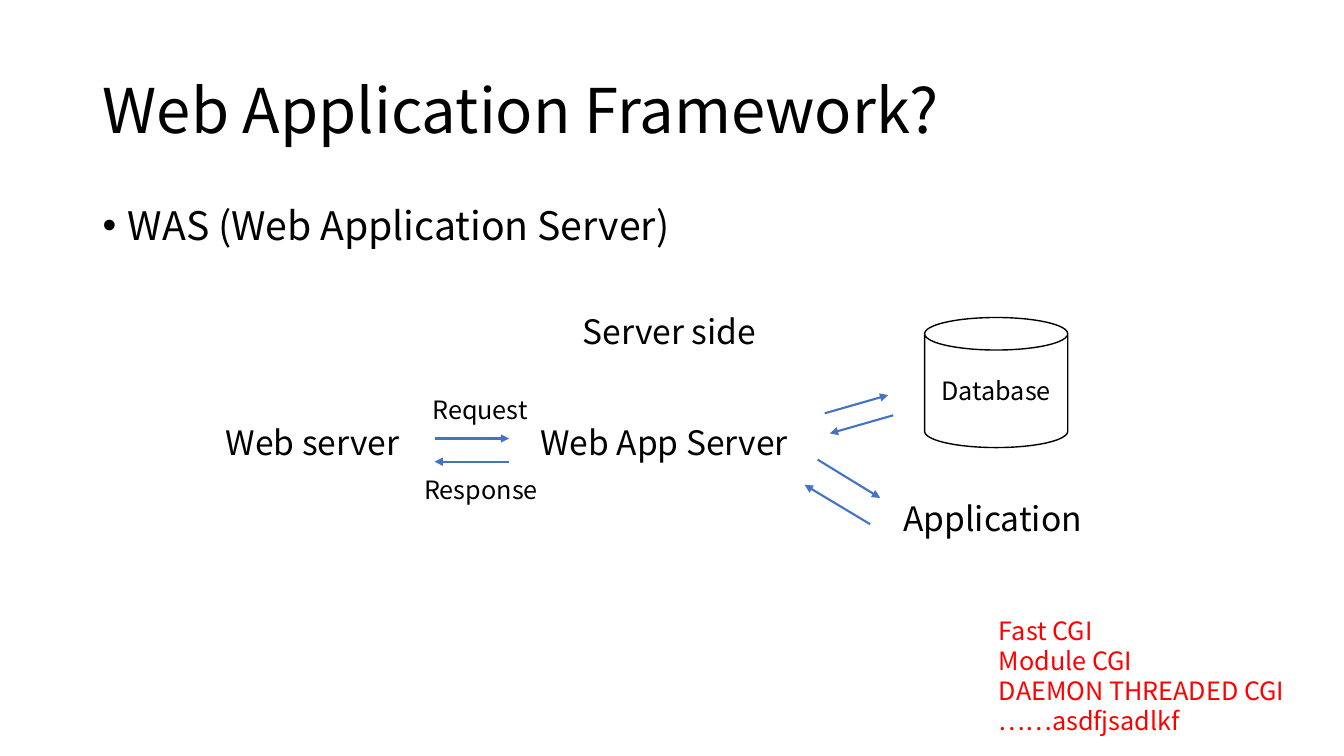
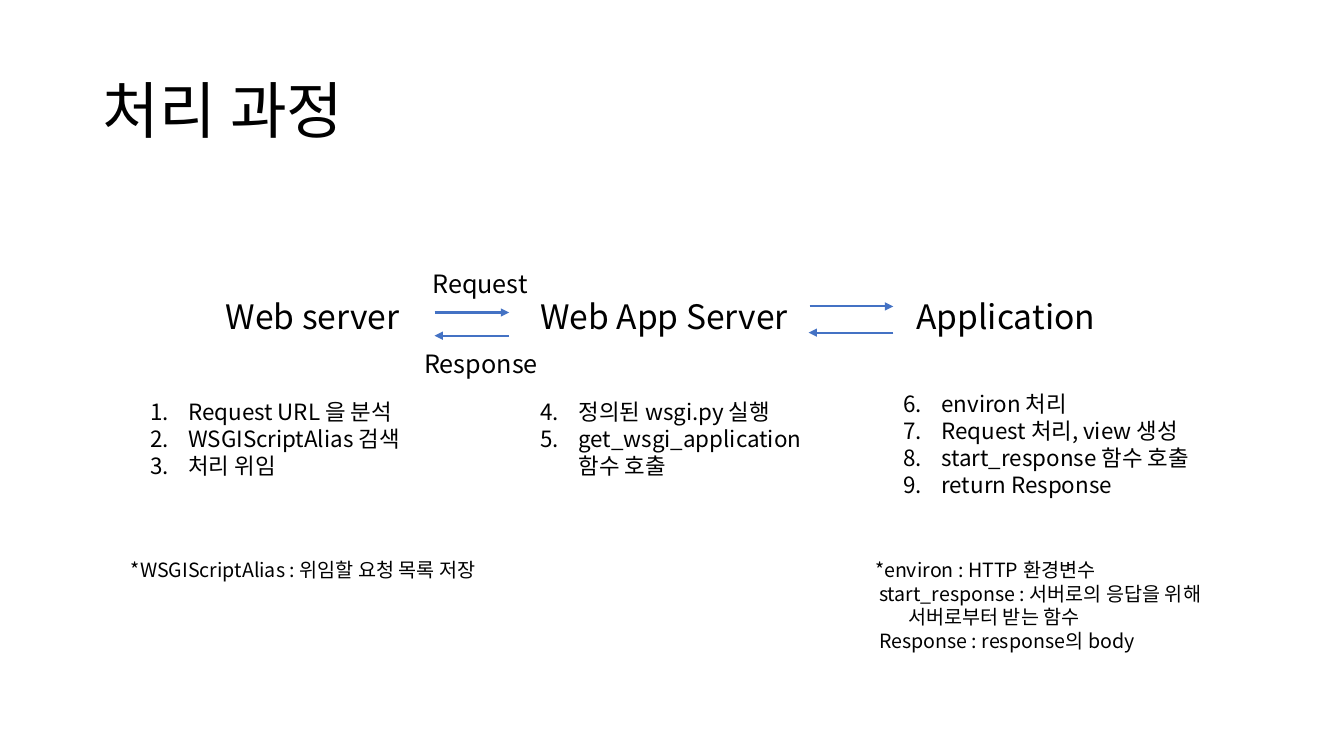
from lxml.etree import SubElement
from pptx import Presentation
from pptx.dml.color import RGBColor
from pptx.enum.shapes import MSO_CONNECTOR as CONN, MSO_SHAPE as SHAPE
from pptx.enum.text import MSO_ANCHOR as ANCHOR, MSO_AUTO_SIZE as AUTO, PP_ALIGN as ALIGN
from pptx.oxml.ns import qn
from pptx.util import Pt

PX = 9144
FONT = "Noto Sans CJK KR"
BLACK, RED, BLUE = "000000", "FF0000", "4472C4"


def write(sp, lines, size, color=BLACK, indents=(), mark=None, **formats):
    tf = sp.text_frame
    tf.word_wrap = True
    for i, line in enumerate(lines):
        p = tf.paragraphs[0] if i == 0 else tf.add_paragraph()
        for name, value in formats.items():
            setattr(p, name, value)
        r = p.add_run()
        r.text = line
        r.font.size = Pt(size)
        r.font.name = FONT
        r.font.color.rgb = RGBColor.from_string(color)
        SubElement(r.font._element, qn("a:ea"), typeface=FONT)
        pPr = p._p.get_or_add_pPr()
        if indents:
            left, first = indents[i % len(indents)]
            pPr.set("marL", str(left * PX))
            pPr.set("indent", str(first * PX))
        if mark == "•":
            SubElement(pPr, qn("a:buFont"), typeface="Arial")
            SubElement(pPr, qn("a:buChar"), char=mark)
        elif mark:
            SubElement(pPr, qn("a:buFont"), typeface="+mj-lt")
            SubElement(pPr, qn("a:buAutoNum"), type="arabicPeriod", startAt=str(mark))


def arrow(s, *ends):
    sp = s.shapes.add_connector(CONN.STRAIGHT, *(v * PX for v in ends))
    sp.line.color.rgb = RGBColor.from_string(BLUE)
    sp.line.width = Pt(1.5)
    SubElement(sp.line._get_or_add_ln(), qn("a:tailEnd"), type="triangle")
    SubElement(sp._element.spPr, qn("a:effectLst"))


prs = Presentation()
prs.slide_width, prs.slide_height = 1333 * PX, 750 * PX

bullet = {"indents": [(25, -25)], "mark": "•", "line_spacing": 0.9, "space_before": Pt(10)}
steps = {"indents": [(38, -38)]}
pages = [
    ("Web Application Framework?", 414,
     [(568, 304, 196, 50, 24, ["Server side"], {}),
      (886, 489, 203, 50, 24, ["Application"], {}),
      (981, 605, 314, 131, 18,
       ["Fast CGI", "Module CGI", "DAEMON THREADED CGI", "……asdfjsadlkf"], {"color": RED}),
      (92, 200, 1150, 476, 28, ["WAS (Web Application Server)"], bullet)],
     [(811, 456, 873, 494), (863, 520, 798, 481),
      (818, 410, 881, 392), (886, 412, 823, 430)]),
    ("처리 과정", 289,
     [(899, 289, 203, 50, 24, ["Application"], {}),
      (139, 390, 272, 91, 16,
       ["Request URL 을 분석", "WSGIScriptAlias 검색", "처리 위임"], {**steps, "mark": 1}),
      (526, 390, 307, 91, 16,
       ["정의된 wsgi.py 실행", "get_wsgi_application 함수 호출"], {**steps, "mark": 4}),
      (886, 382, 307, 118, 16,
       ["environ 처리", "Request 처리, view 생성", "start_response 함수 호출",
        "return Response"], {**steps, "mark": 6}),
      (858, 549, 362, 104, 14,
       ["*environ : HTTP 환경변수",
        "start_response : 서버로의 응답을 위해 서버로부터 받는 함수",
        "Response : response의 body"],
       {"indents": [(0, 0), (33, -29), (4, 0)]}),
      (120, 549, 384, 34, 14, ["*WSGIScriptAlias : 위임할 요청 목록 저장"], {})],
     [(803, 304, 886, 304), (886, 330, 802, 330)]),
]

for title, top, texts, arrows in pages:
    s = prs.slides.add_slide(prs.slide_layouts[5])
    sp = s.shapes.title
    sp.left, sp.top, sp.width, sp.height = (v * PX for v in (92, 40, 1150, 145))
    sp.text_frame.auto_size = AUTO.NONE
    sp.text_frame.vertical_anchor = ANCHOR.MIDDLE
    write(sp, [title], 44, alignment=ALIGN.LEFT, line_spacing=0.9)

    flow = [
        (214, top, 196, 50, 24, ["Web server"], {}),
        (526, top, 276, 50, 24, ["Web App Server"], {}),
        (411, top + 52, 133, 40, 18, ["Response"], {}),
        (419, top - 28, 133, 40, 18, ["Request"], {}),
    ]
    for x, y, w, h, size, lines, formats in flow + texts:
        sp = s.shapes.add_textbox(x * PX, y * PX, w * PX, h * PX)
        if formats is not bullet:
            sp.text_frame.auto_size = AUTO.SHAPE_TO_FIT_TEXT
        write(sp, lines, size, **formats)

    exchange = [(431, top + 21, 505, top + 21), (505, top + 44, 431, top + 44)]
    for ends in exchange + arrows:
        arrow(s, *ends)

s = prs.slides[0]
sp = s.shapes.add_shape(SHAPE.CAN, 917 * PX, 315 * PX, 142 * PX, 129 * PX)
sp.shadow.inherit = False
sp.fill.background()
sp.line.color.rgb = RGBColor.from_string(BLACK)
sp.line.width = Pt(1)
sp.text_frame.vertical_anchor = ANCHOR.MIDDLE
write(sp, ["Database"], 18, alignment=ALIGN.CENTER)

prs.save("out.pptx")
